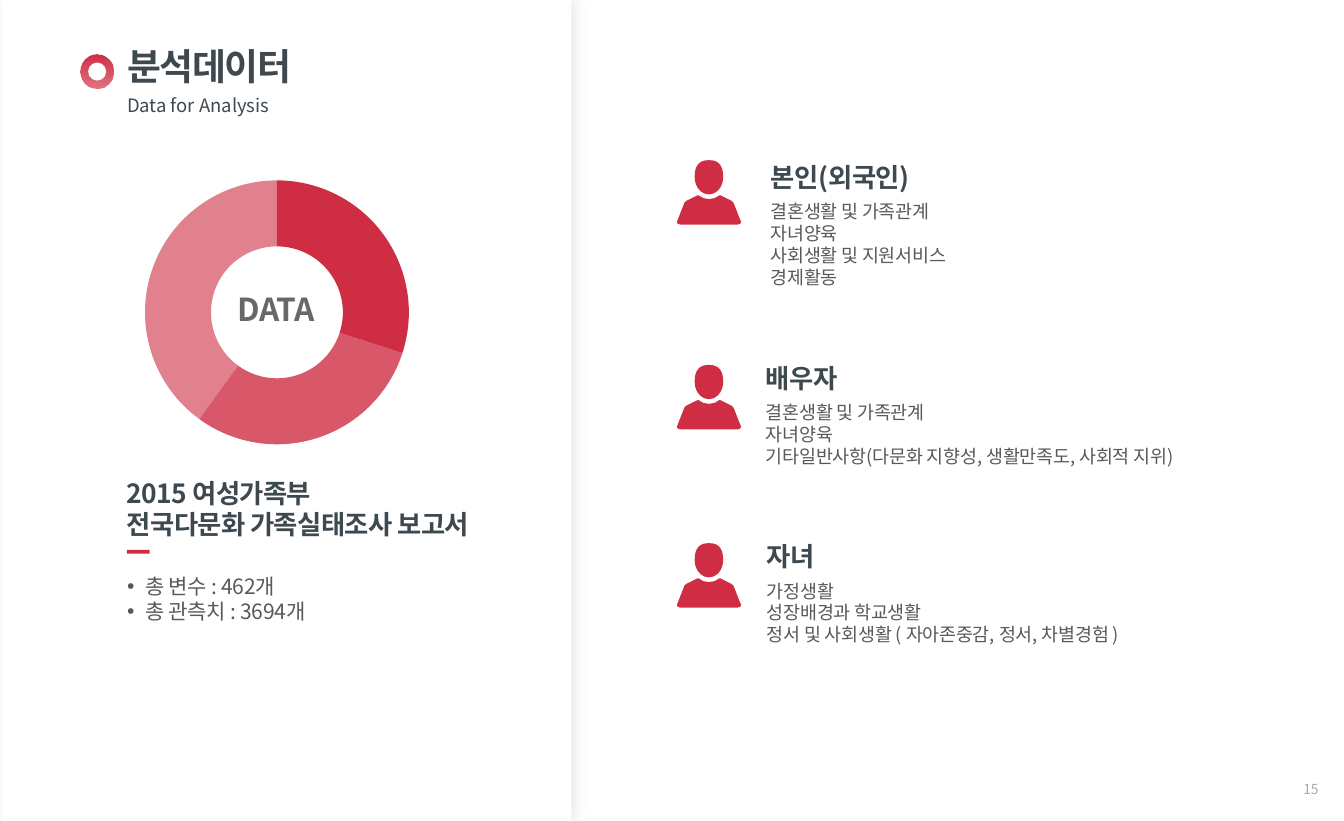
import math
import lxml.etree
import pptx
import pptx.chart.data
import pptx.dml.color
import pptx.enum.chart
import pptx.enum.shapes
import pptx.enum.text
import pptx.oxml
import pptx.oxml.ns
import pptx.util

Inches = pptx.util.Inches
Pt = pptx.util.Pt
qn = pptx.oxml.ns.qn
Kind = pptx.enum.shapes.MSO_SHAPE
Align = pptx.enum.text.PP_ALIGN
Anchor = pptx.enum.text.MSO_ANCHOR

FONT = "Noto Sans CJK KR"
TINT = {"red": "CF2D43", "white": "FFFFFF", "dark": "3E484F",
        "text": "595959", "data": "686868", "page": "ABABAB", "black": "000000"}
STYLE = {
    "title": {"size": 28, "bold": True, "tint": "dark", "track": -100},
    "sub": {"size": 14, "bold": False, "tint": "dark", "track": 0},
    "head": {"size": 20, "bold": True, "tint": "dark", "track": -50},
    "list": {"size": 16, "bold": False, "tint": "text", "track": -20},
    "item": {"size": 14, "bold": False, "tint": "text", "track": -20},
    "data": {"size": 24, "bold": True, "tint": "data", "track": -30},
    "page": {"size": 10.5, "bold": False, "tint": "page", "track": 0},
}
GROUPS = [
    (8.13, 1.74, 1.7, "본인(외국인)",
     ["결혼생활 및 가족관계", "자녀양육", "사회생활 및 지원서비스", "경제활동"]),
    (8.08, 3.86, 3.86, "배우자",
     ["결혼생활 및 가족관계", "자녀양육",
      "기타일반사항(다문화 지향성, 생활만족도, 사회적 지위)"]),
    (8.09, 5.74, 5.74, "자녀",
     ["가정생활", "성장배경과 학교생활",
      "정서 및 사회생활 ( 자아존중감, 정서, 차별경험 )"]),
]
BUST = [(0, 0.4), (0.06, 0.39), (0.11, 0.36), (0.12, 0.36), (0.24, 0.42),
        (0.26, 0.44), (0.33, 0.62), (0.34, 0.64), (0.33, 0.66), (0.3, 0.67)]


def hue(name):
    return pptx.dml.color.RGBColor.from_string(TINT[name])


def fade(node, share):
    last = list(node.iter(qn("a:srgbClr")))[-1]
    lxml.etree.SubElement(last, qn("a:alpha"), val=str(share * 1000))


def paint(shape, tint):
    shape.shadow.inherit = False
    shape.fill.solid()
    shape.fill.fore_color.rgb = hue(tint)
    shape.line.fill.background()
    return shape


def add_form(slide, kind, box, tint):
    return paint(slide.shapes.add_shape(kind, *map(Inches, box)), tint)


def add_panel(slide):
    panel = add_form(slide, Kind.RECTANGLE, (0.02, 0, 6.01, 8.66), "white")
    glow = panel._element.spPr.find(qn("a:effectLst"))
    cast = lxml.etree.SubElement(glow, qn("a:outerShdw"), blurRad=str(Pt(11)),
                                 dist=str(Pt(3)), dir="0", rotWithShape="0")
    lxml.etree.SubElement(cast, qn("a:srgbClr"), val=TINT["black"])
    fade(cast, 10)


def add_ring(slide):
    disc = add_form(slide, Kind.OVAL, (0.85, 0.58, 0.35, 0.35), "red")
    disc.fill.gradient()
    disc.fill.gradient_angle = 270
    for stop, place in zip(disc.fill.gradient_stops, (0, 1)):
        stop.color.rgb = hue("red")
        stop.position = place
    fade(disc._element.spPr, 65)
    add_form(slide, Kind.OVAL, (0.93, 0.66, 0.19, 0.19), "white")


def write(shape, lines, style, align=Align.LEFT, anchor=Anchor.TOP, inset=0):
    look = STYLE[style]
    frame = shape.text_frame
    values = {"word_wrap": True, "vertical_anchor": anchor,
              "auto_size": pptx.enum.text.MSO_AUTO_SIZE.NONE}
    for side in ("left", "right", "top", "bottom"):
        values["margin_" + side] = Inches(inset)
    for key, value in values.items():
        setattr(frame, key, value)
    for row, line in enumerate(lines):
        para = frame.paragraphs[0] if row == 0 else frame.add_paragraph()
        gap = Pt(look["size"] * 0.1) if row else Pt(0)
        for key, value in {"alignment": align, "line_spacing": 0.9,
                           "space_before": gap, "space_after": Pt(0)}.items():
            setattr(para, key, value)
        run = para.add_run()
        run.text = line
        for key, value in {"size": Pt(look["size"]), "bold": look["bold"],
                           "name": FONT}.items():
            setattr(run.font, key, value)
        run.font.color.rgb = hue(look["tint"])
        props = run._r.get_or_add_rPr()
        props.set("spc", str(look["track"]))
        lxml.etree.SubElement(props, qn("a:ea"), typeface=FONT)


def add_text(slide, box, lines, style, **extra):
    write(slide.shapes.add_textbox(*map(Inches, box)), lines, style, **extra)


def fill_holder(holder, box, lines, style):
    for key, value in zip(("left", "top", "width", "height"), box):
        setattr(holder, key, Inches(value))
    write(holder, lines, style)


def add_dots(holder):
    for para in holder.text_frame.paragraphs:
        props = para._p.get_or_add_pPr()
        props.set("marL", str(Inches(0.19)))
        props.set("indent", str(-Inches(0.19)))
        lxml.etree.SubElement(props, qn("a:buChar"), char="•")


def add_chart(slide):
    data = pptx.chart.data.CategoryChartData()
    data.categories = ["1", "2", "3"]
    data.add_series("Series 1", (30, 30, 40))
    box = map(Inches, (0.61, 1.75, 4.58, 3.06))
    chart = slide.shapes.add_chart(
        pptx.enum.chart.XL_CHART_TYPE.DOUGHNUT, *box, data).chart
    chart.has_legend = chart.has_title = False
    for key, value in {"size": Pt(18), "name": FONT}.items():
        setattr(chart.font, key, value)
    chart.font.color.rgb = hue("black")
    plot = chart.plots[0]
    plot.vary_by_categories = False
    series = plot.series[0]
    for place, share in enumerate((100, 80, 60)):
        form = series.points[place].format
        form.fill.solid()
        form.fill.fore_color.rgb = hue("red")
        form.line.fill.background()
        fade(series._element, share)
    plot._element.find(qn("c:holeSize")).set("val", "73")
    area = chart._chartSpace.chart.plotArea
    for old in area.findall(qn("c:layout")):
        area.remove(old)
    layout = lxml.etree.Element(qn("c:layout"))
    area.insert(0, layout)
    frame = lxml.etree.SubElement(layout, qn("c:manualLayout"))
    for key, value in {"layoutTarget": "inner", "xMode": "edge", "yMode": "edge",
                       "x": "0.2", "y": "0.05", "w": "0.61", "h": "0.91"}.items():
        lxml.etree.SubElement(frame, qn("c:" + key), val=value)


def add_outline(shapes, points):
    spots = [(Inches(x), Inches(y)) for x, y in points]
    pen = shapes.build_freeform(*spots[0])
    pen.add_line_segments(spots[1:], close=True)
    paint(pen.convert_to_shape(), "red")


def add_person(slide, top, mid=7.48):
    shapes = slide.shapes.add_group_shape().shapes
    head = []
    for step in range(48):
        turn = math.tau * step / 48
        across, down = math.cos(turn), math.sin(turn)
        power = 0.8 if down < 0 else 1
        head.append((mid + 0.15 * math.copysign(abs(across) ** power, across),
                     top + 0.17 + 0.18 * math.copysign(abs(down) ** power, down)))
    add_outline(shapes, head)
    right = [(mid + x, top + y) for x, y in BUST]
    left = [(mid - x, top + y) for x, y in reversed(BUST[1:])]
    add_outline(shapes, right + left)


def main():
    deck = pptx.Presentation()
    deck.slide_width, deck.slide_height = Inches(14.18), Inches(8.66)
    slide = deck.slides.add_slide(deck.slide_layouts[1])
    title, body = slide.placeholders
    add_panel(slide)
    add_ring(slide)
    add_form(slide, Kind.ROUNDED_RECTANGLE,
             (1.34, 5.8, 0.24, 0.04), "red").adjustments[0] = 0.05
    fill_holder(title, (1.34, 0.51, 4.09, 0.47), ["분석데이터"], "title")
    fill_holder(body, (1.34, 6.08, 4.09, 0.77),
                ["총 변수 : 462개", "총 관측치 : 3694개"], "list")
    add_dots(body)
    for holder in (title, body):
        slide.shapes._spTree.append(holder._element)
    add_text(slide, (1.34, 1.02, 4.09, 0.24), ["Data for Analysis"], "sub")
    add_text(slide, (1.34, 5.07, 4.1, 0.74),
             ["2015 여성가족부", "전국다문화 가족실태조사 보고서"], "head")
    add_chart(slide)
    add_text(slide, (1.34, 3.08, 3.15, 0.4), ["DATA"], "data",
             align=Align.CENTER, anchor=Anchor.MIDDLE)
    for left, top, crown, name, items in GROUPS:
        add_text(slide, (left, top, 5.45, 0.34), [name], "head")
        add_text(slide, (left, top + 0.4, 5.45, 0.77), items, "item")
        add_person(slide, crown)
    add_text(slide, (13.3, 8.1, 0.71, 0.46), ["15"], "page",
             align=Align.RIGHT, anchor=Anchor.MIDDLE, inset=0.1)
    deck.save("out.pptx")


main()
